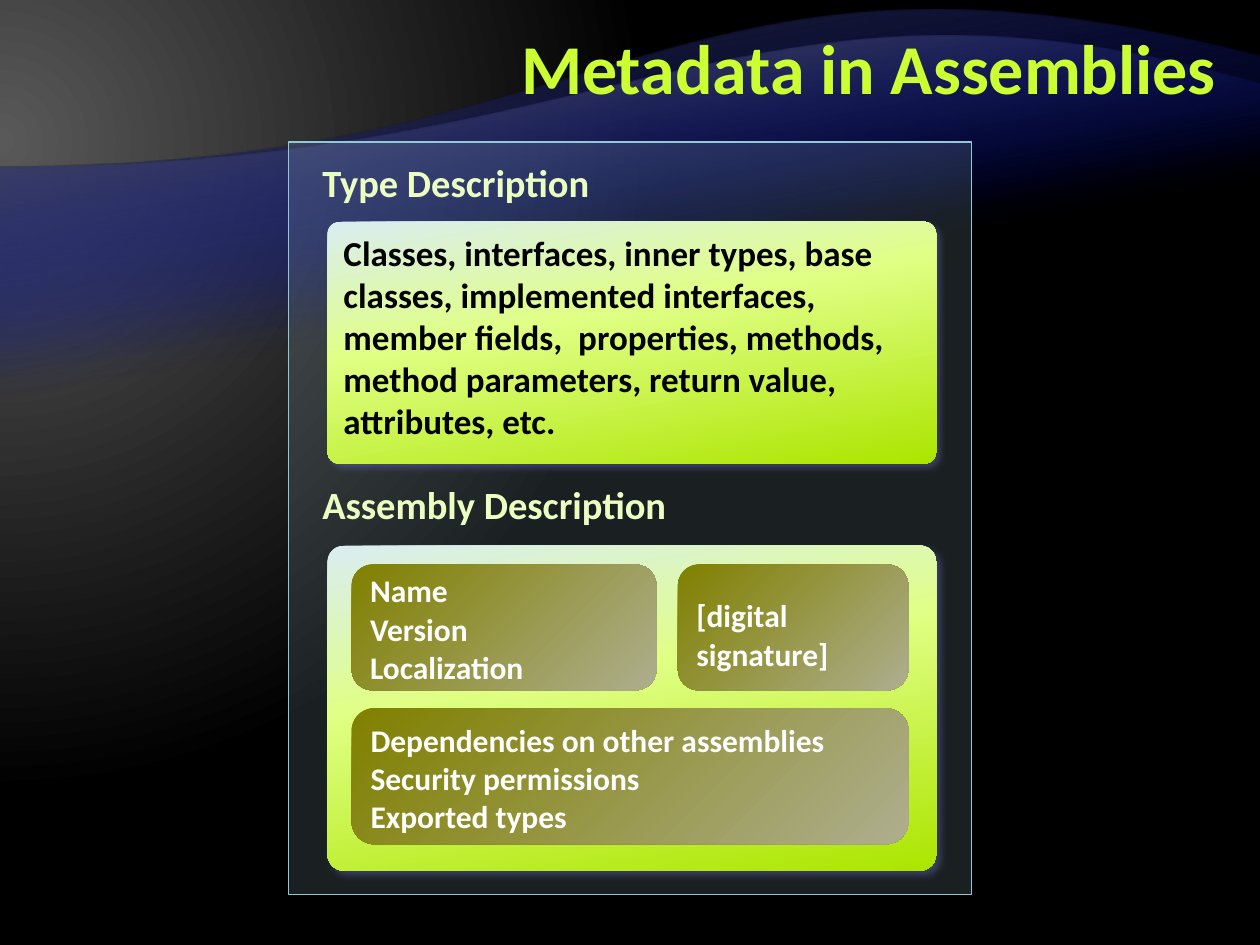
from pptx import Presentation
from pptx.dml.color import RGBColor
from pptx.enum.shapes import MSO_SHAPE as SHAPE
from pptx.enum.text import MSO_ANCHOR as ANCHOR, MSO_AUTO_SIZE as AUTO, PP_ALIGN as ALIGN
from pptx.oxml import parse_xml
from pptx.oxml.ns import nsdecls, qn
from pptx.util import Inches, Pt

COLORS = {
    "title": "CCFF33", "heading": "EBFFC2", "black": "000000", "white": "FFFFFF",
    "frame": "B5DBE5", "frame_line": "90CAD7", "shadow": "6C73BF",
    "ice": "DAEDF2", "lime": "E0FF85", "green": "ACE500",
    "olive": "808000", "khaki": "AEAE8F",
    "blue": "000D9E", "gray": "595959", "dark": "262626",
}
PANEL_STOPS = [(0, "ice", 100), (40, "lime", 100), (100, "green", 100)]
CARD_STOPS = [(0, "olive", 100), (100, "khaki", 100)]


class Deck:
    font = "Calibri"

    def __init__(self, prs):
        self.s = prs.slides.add_slide(prs.slide_layouts[6])

    def color(self, name):
        return RGBColor.from_string(COLORS[name])

    def tint(self, name, alpha):
        return (f'<a:srgbClr val="{COLORS[name]}">'
                f'<a:alpha val="{alpha * 1000}"/></a:srgbClr>')

    def gradient(self, fill, element, stops, direction):
        fill.gradient()
        old = element.find(".//" + qn("a:gradFill"))
        gs = "".join(f'<a:gs pos="{pos * 1000}">{self.tint(name, alpha)}</a:gs>'
                     for pos, name, alpha in stops)
        new = parse_xml(f'<a:gradFill {nsdecls("a")} rotWithShape="1">'
                        f'<a:gsLst>{gs}</a:gsLst>{direction}</a:gradFill>')
        old.getparent().replace(old, new)

    def linear(self, sp, stops, angle):
        self.gradient(sp.fill, sp.element, stops,
                      f'<a:lin ang="{angle * 60000}" scaled="0"/>')

    def background(self):
        self.gradient(self.s.background.fill, self.s.element,
                      [(0, "gray", 100), (83, "black", 100)],
                      '<a:path path="circle"><a:fillToRect l="20000" t="30000" '
                      'r="135000" b="100000"/></a:path>')

    def wave(self, top, bottom, control, edge):
        start = (Inches(10), Inches(top))
        corners = [(0, Inches(bottom)), (0, Inches(1.33)), start]
        builder = self.s.shapes.build_freeform(Inches(10), Inches(bottom))
        builder.add_line_segments(corners, close=True)
        sp = builder.convert_to_shape()
        curve = [(5, 1.33), control, (10, top)]
        pts = "".join(f'<a:pt x="{Inches(x)}" y="{Inches(y - top)}"/>' for x, y in curve)
        line = sp.element.findall(".//" + qn("a:lnTo"))[2]
        line.getparent().replace(
            line, parse_xml(f'<a:cubicBezTo {nsdecls("a")}>{pts}</a:cubicBezTo>'))
        sp.shadow.inherit = False
        sp.line.fill.background()
        self.linear(sp, [(65, "blue", 0), (100, edge, 100)], 260)

    def add_lines(self, tf, lines, size, color, align=ALIGN.LEFT, spacing=None):
        for i, line in enumerate(lines):
            p = tf.paragraphs[0] if i == 0 else tf.add_paragraph()
            p.alignment = align
            if spacing:
                p.line_spacing = Pt(spacing)
            r = p.add_run()
            r.text = line
            r.font.name = self.font
            r.font.size = Pt(size)
            r.font.bold = True
            r.font.color.rgb = self.color(color)

    def title(self, text):
        tf = self.s.shapes.add_textbox(Inches(2), Inches(0.08), Inches(7.75), Inches(1)).text_frame
        tf.word_wrap = True
        tf.vertical_anchor = ANCHOR.MIDDLE
        self.add_lines(tf, [text], 40, "title", ALIGN.RIGHT, 40)

    def heading(self, text, y, w):
        tf = self.s.shapes.add_textbox(Inches(2.46), Inches(y), Inches(w), Inches(0.47)).text_frame
        tf.word_wrap = False
        tf.auto_size = AUTO.SHAPE_TO_FIT_TEXT
        self.add_lines(tf, [text], 22, "heading")

    def shape(self, kind, x, y, w, h):
        sp = self.s.shapes.add_shape(kind, Inches(x), Inches(y), Inches(w), Inches(h))
        sp.shadow.inherit = False
        sp.line.fill.background()
        sp.text_frame.vertical_anchor = ANCHOR.TOP
        return sp

    def frame(self, x, y, w, h):
        sp = self.shape(SHAPE.RECTANGLE, x, y, w, h)
        sp.fill.solid()
        sp.fill.fore_color.rgb = self.color("frame")
        clr = sp.element.spPr.find(qn("a:solidFill"))[0]
        clr.append(parse_xml(f'<a:alpha {nsdecls("a")} val="15000"/>'))
        sp.line.color.rgb = self.color("frame_line")
        sp.line.width = Pt(1)

    def panel(self, y, h, lines=()):
        sp = self.shape(SHAPE.ROUNDED_RECTANGLE, 2.6, y, 4.83, h)
        sp.adjustments[0] = 0.05
        self.linear(sp, PANEL_STOPS, 80)
        effects = sp.element.spPr.find(qn("a:effectLst"))
        effects.append(parse_xml(
            f'<a:outerShdw {nsdecls("a")} blurRad="{Pt(4)}" dist="{Pt(3)}" dir="2700000" '
            f'algn="tl" rotWithShape="0">{self.tint("shadow", 40)}</a:outerShdw>'))
        sp.text_frame.word_wrap = True
        self.add_lines(sp.text_frame, lines, 20, "black")

    def card(self, x, y, w, h, lines, top=0.05, bottom=0.05, spacing=None):
        sp = self.shape(SHAPE.ROUNDED_RECTANGLE, x, y, w, h)
        self.linear(sp, CARD_STOPS, 45)
        tf = sp.text_frame
        tf.word_wrap = False
        tf.margin_top, tf.margin_bottom = Inches(top), Inches(bottom)
        self.add_lines(tf, lines, 18, "white", spacing=spacing)


def main():
    prs = Presentation()
    prs.slide_width, prs.slide_height = Inches(10), Inches(7.5)
    deck = Deck(prs)
    deck.background()
    deck.wave(0.45, 6.53, (5.34, -0.75), "dark")
    deck.wave(0.67, 5.57, (5.98, -0.49), "gray")
    deck.title("Metadata in Assemblies")
    deck.frame(2.29, 1.13, 5.42, 5.97)
    deck.heading("Type Description", 1.21, 2.44)
    deck.heading("Assembly Description", 3.77, 3.09)
    deck.panel(1.76, 1.92, [
        "Classes, interfaces, inner types, base classes, implemented interfaces, "
        "member fields,  properties, methods, method parameters, return value,",
        "attributes, etc.",
    ])
    deck.panel(4.33, 2.58)
    deck.card(2.79, 5.62, 4.42, 1.08, [
        "Dependencies on other assemblies", "Security permissions", "Exported types"])
    deck.card(5.38, 4.48, 1.83, 1, ["[digital", "signature]"], top=0.2, spacing=22)
    deck.card(2.79, 4.48, 2.42, 1, ["Name", "Version", "Localization"],
              top=0, bottom=0.04, spacing=22)
    prs.save("out.pptx")


if __name__ == "__main__":
    main()
